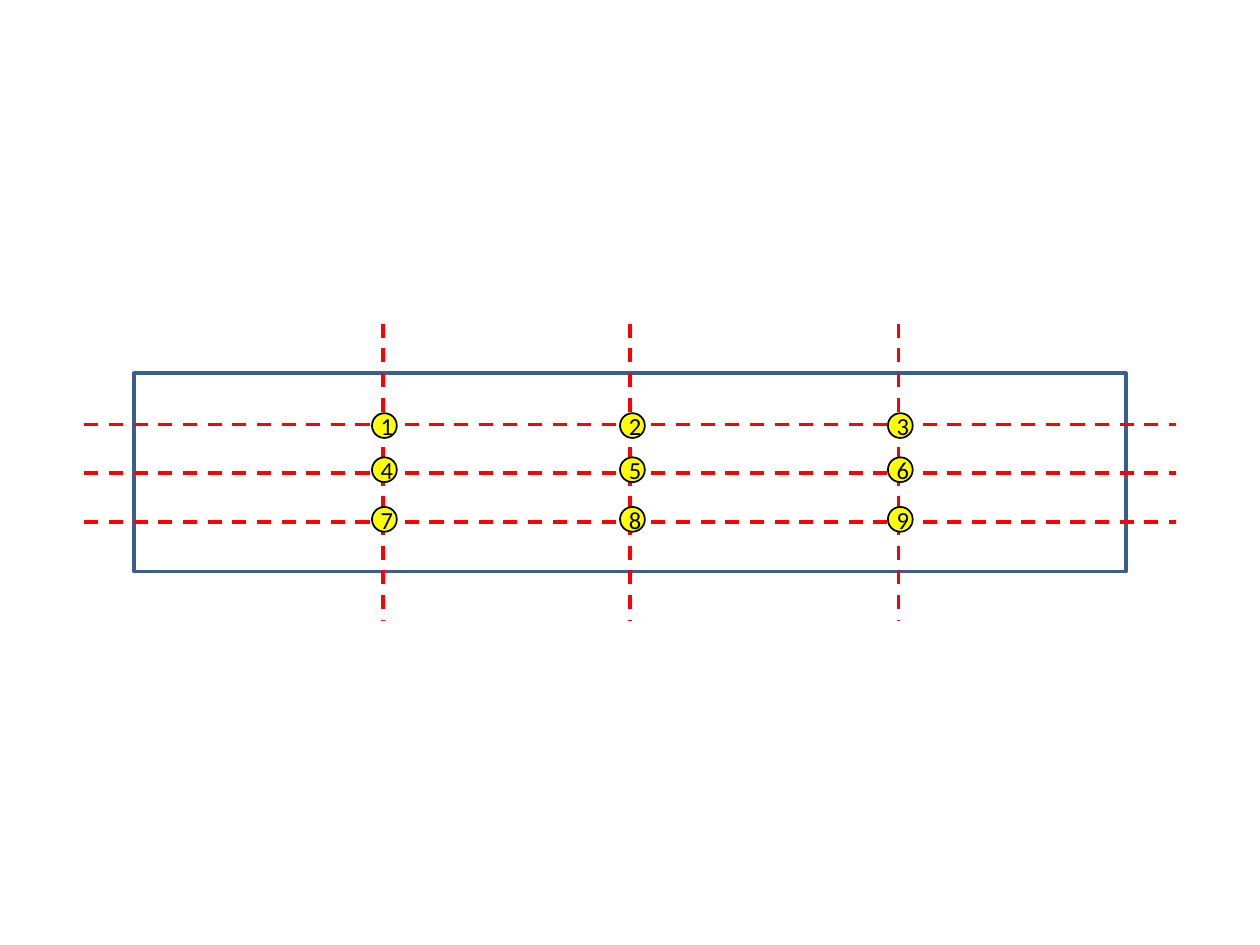
from lxml import etree
from pptx import Presentation
from pptx.dml.color import RGBColor
from pptx.enum import dml, shapes, text
from pptx.oxml.ns import qn
from pptx.util import Cm, Pt

WHITE = RGBColor(0xFF, 0xFF, 0xFF)
BLACK = RGBColor(0, 0, 0)
RED = RGBColor(0xFF, 0, 0)
YELLOW = RGBColor(0xFF, 0xFF, 0)
BLUE = RGBColor(0x3A, 0x5F, 0x8C)

SLIDE_WIDTH, SLIDE_HEIGHT = 25.4, 19.05
BEAM_WIDTH, BEAM_HEIGHT = 20, 4
OVERHANG = 1
COLUMN_LINES = (7.72, 12.7, 18.11)
ROW_LINES = (8.56, 9.53, 10.52)
POINT_COLUMNS = (7.75, 12.75, 18.15)
POINT_ROWS = (8.58, 9.47, 10.47)
POINT_SIZE = 0.5


class Diagram:
    """Draws on one slide in a common style; all lengths are in centimetres."""

    font_format = {"name": "Calibri", "size": Pt(14)}

    def __init__(self, slide):
        self.slide = slide

    def shape(self, kind, left, top, width, height, fill, line, weight):
        shape = self.slide.shapes.add_shape(
            kind, Cm(left), Cm(top), Cm(width), Cm(height))
        shape.shadow.inherit = False
        shape.fill.solid()
        shape.fill.fore_color.rgb = fill
        shape.line.color.rgb = line
        shape.line.width = Pt(weight)
        return shape

    def axis(self, x1, y1, x2, y2):
        axis = self.slide.shapes.add_connector(
            shapes.MSO_CONNECTOR.STRAIGHT, Cm(x1), Cm(y1), Cm(x2), Cm(y2))
        axis.line.color.rgb = RED
        axis.line.width = Pt(2)
        axis.line.dash_style = dml.MSO_LINE.DASH
        etree.SubElement(axis.element.spPr, qn("a:effectLst"))

    def point(self, number, x, y):
        """Draw a numbered circle centred on x, y."""
        circle = self.shape(
            shapes.MSO_SHAPE.OVAL, x - POINT_SIZE / 2, y - POINT_SIZE / 2,
            POINT_SIZE, POINT_SIZE, YELLOW, BLACK, 1)
        circle.text_frame.vertical_anchor = text.MSO_ANCHOR.MIDDLE
        para = circle.text_frame.paragraphs[0]
        para.alignment = text.PP_ALIGN.CENTER
        span = para.add_run()
        span.text = str(number)
        for name, value in self.font_format.items():
            setattr(span.font, name, value)
        span.font.color.rgb = BLACK


def main():
    deck = Presentation()
    deck.slide_width, deck.slide_height = Cm(SLIDE_WIDTH), Cm(SLIDE_HEIGHT)
    diagram = Diagram(deck.slides.add_slide(deck.slide_layouts[6]))

    left = (SLIDE_WIDTH - BEAM_WIDTH) / 2
    top = (SLIDE_HEIGHT - BEAM_HEIGHT) / 2
    diagram.shape(shapes.MSO_SHAPE.RECTANGLE, left, top,
                  BEAM_WIDTH, BEAM_HEIGHT, WHITE, BLUE, 2)

    for x in COLUMN_LINES:
        diagram.axis(x, top - OVERHANG, x, top + BEAM_HEIGHT + OVERHANG)
    for y in ROW_LINES:
        diagram.axis(left - OVERHANG, y, left + BEAM_WIDTH + OVERHANG, y)

    centres = [(x, y) for y in POINT_ROWS for x in POINT_COLUMNS]
    for number, (x, y) in enumerate(centres, start=1):
        diagram.point(number, x, y)

    deck.save("out.pptx")


if __name__ == "__main__":
    main()
